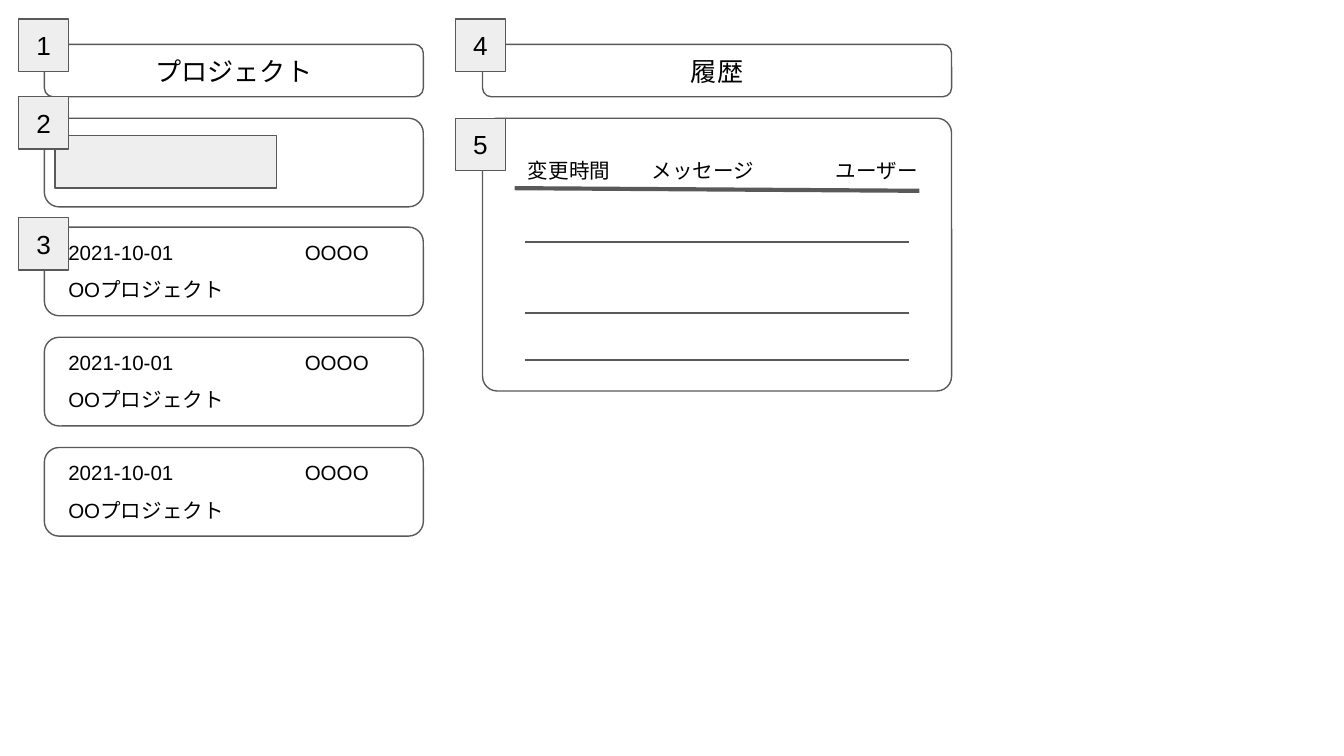
import pptx
import pptx.util
import pptx.dml.color
import pptx.enum.shapes
import pptx.enum.text
import pptx.oxml.ns
import lxml.etree

COLORS = {"paper": "FFFFFF", "badge": "EEEEEE", "outline": "595959", "text": "000000"}
FONT = "Arial"
SLIDE_WIDTH = 10
SLIDE_HEIGHT = SLIDE_WIDTH * 9 / 16

COLUMNS = {"projects": (0.33, 2.82), "history": (3.59, 3.49)}
TITLES = {"projects": "プロジェクト", "history": "履歴"}
PROJECTS = [("2021-10-01", "OOOO", "OOプロジェクト")] * 3
HISTORY_HEADERS = ["変更時間", "メッセージ", "ユーザー"]
BADGES = [("1", 0.14, 0.14), ("2", 0.14, 0.72), ("3", 0.14, 1.62),
          ("4", 3.39, 0.14), ("5", 3.39, 0.88)]

TITLE_ROW, BODY_ROW = 0.33, 0.88
BAR_HEIGHT, CARD_HEIGHT, HISTORY_HEIGHT = 0.39, 0.66, 2.03
CARD_STEP = 0.82
NAME_OFFSET = 0.28
BADGE_WIDTH = 0.37
CARD_TEXT = (0.41, 2.63)
PROJECT_TABS = [1.76]
HISTORY_TABS = [0.92, 2.29]
HISTORY_RULES = [1.8, 2.33, 2.68]
ROUNDING = 1 / 6

SHAPES = pptx.enum.shapes.MSO_SHAPE
ALIGN = pptx.enum.text.PP_ALIGN
ANCHOR = pptx.enum.text.MSO_ANCHOR
qn = pptx.oxml.ns.qn

presentation = pptx.Presentation()
presentation.slide_width = pptx.util.Inches(SLIDE_WIDTH)
presentation.slide_height = pptx.util.Inches(SLIDE_HEIGHT)
slide = presentation.slides.add_slide(presentation.slide_layouts[6])


def inches(*lengths):
    return [pptx.util.Inches(length) for length in lengths]


def color(name):
    return pptx.dml.color.RGBColor.from_string(COLORS[name])


def write(shape, text, size, align, anchor, tabs=()):
    frame = shape.text_frame
    frame.word_wrap = True
    frame.vertical_anchor = anchor
    frame.margin_left = frame.margin_right = pptx.util.Inches(0.1)
    frame.margin_top = frame.margin_bottom = pptx.util.Inches(0.1)
    paragraph = frame.paragraphs[0]
    paragraph.text = text
    paragraph.alignment = align
    paragraph.font.size = pptx.util.Pt(size)
    paragraph.font.name = FONT
    paragraph.font.color.rgb = color("text")
    if tabs:
        tab_list = lxml.etree.Element(qn("a:tabLst"))
        for position in inches(*tabs):
            lxml.etree.SubElement(tab_list, qn("a:tab"), pos=str(position), algn="l")
        paragraph.font._element.addprevious(tab_list)


def add_box(kind, left, top, width, height, fill="paper", text="", rounding=None):
    shape = slide.shapes.add_shape(kind, *inches(left, top, width, height))
    shape.shadow.inherit = False
    shape.fill.solid()
    shape.fill.fore_color.rgb = color(fill)
    shape.line.color.rgb = color("outline")
    shape.line.width = pptx.util.Pt(0.75)
    if rounding is not None:
        shape.adjustments[0] = rounding
    if text:
        write(shape, text, 14, ALIGN.CENTER, ANCHOR.MIDDLE)


def add_panel(column, top, height, text="", rounding=ROUNDING):
    left, width = COLUMNS[column]
    add_box(SHAPES.ROUNDED_RECTANGLE, left, top, width, height, text=text, rounding=rounding)


def add_text(left, top, width, text, tabs=()):
    box = slide.shapes.add_textbox(*inches(left, top, width, BAR_HEIGHT))
    write(box, text, 11, ALIGN.LEFT, ANCHOR.TOP, tabs)


def add_rule(start_x, start_y, end_x, end_y, weight=0.75):
    rule = slide.shapes.add_connector(pptx.enum.shapes.MSO_CONNECTOR.STRAIGHT,
                                      *inches(start_x, start_y, end_x, end_y))
    rule.line.color.rgb = color("outline")
    rule.line.width = pptx.util.Pt(weight)
    lxml.etree.SubElement(rule._element.spPr, qn("a:effectLst"))


for column, title in TITLES.items():
    add_panel(column, TITLE_ROW, BAR_HEIGHT, title)

add_panel("projects", BODY_ROW, CARD_HEIGHT)
add_box(SHAPES.RECTANGLE, CARD_TEXT[0], 1.01, 1.65, BAR_HEIGHT, "badge")

for index, (date, owner, name) in enumerate(PROJECTS):
    top = 1.69 + index * CARD_STEP
    left, width = CARD_TEXT
    add_panel("projects", top, CARD_HEIGHT)
    add_text(left, top, width, f"{date}\t{owner}", PROJECT_TABS)
    add_text(left, top + NAME_OFFSET, width, name)

add_panel("history", BODY_ROW, HISTORY_HEIGHT,
          rounding=ROUNDING * CARD_HEIGHT / HISTORY_HEIGHT)
add_rule(3.83, 1.4, 6.84, 1.42, 2.25)
for row in HISTORY_RULES:
    add_rule(3.91, row, 6.76, row)
add_text(3.83, 1.08, 3.25, "\t".join(HISTORY_HEADERS), HISTORY_TABS)

for number, left, top in BADGES:
    add_box(SHAPES.RECTANGLE, left, top, BADGE_WIDTH, BAR_HEIGHT, "badge", number)

presentation.save("out.pptx")
